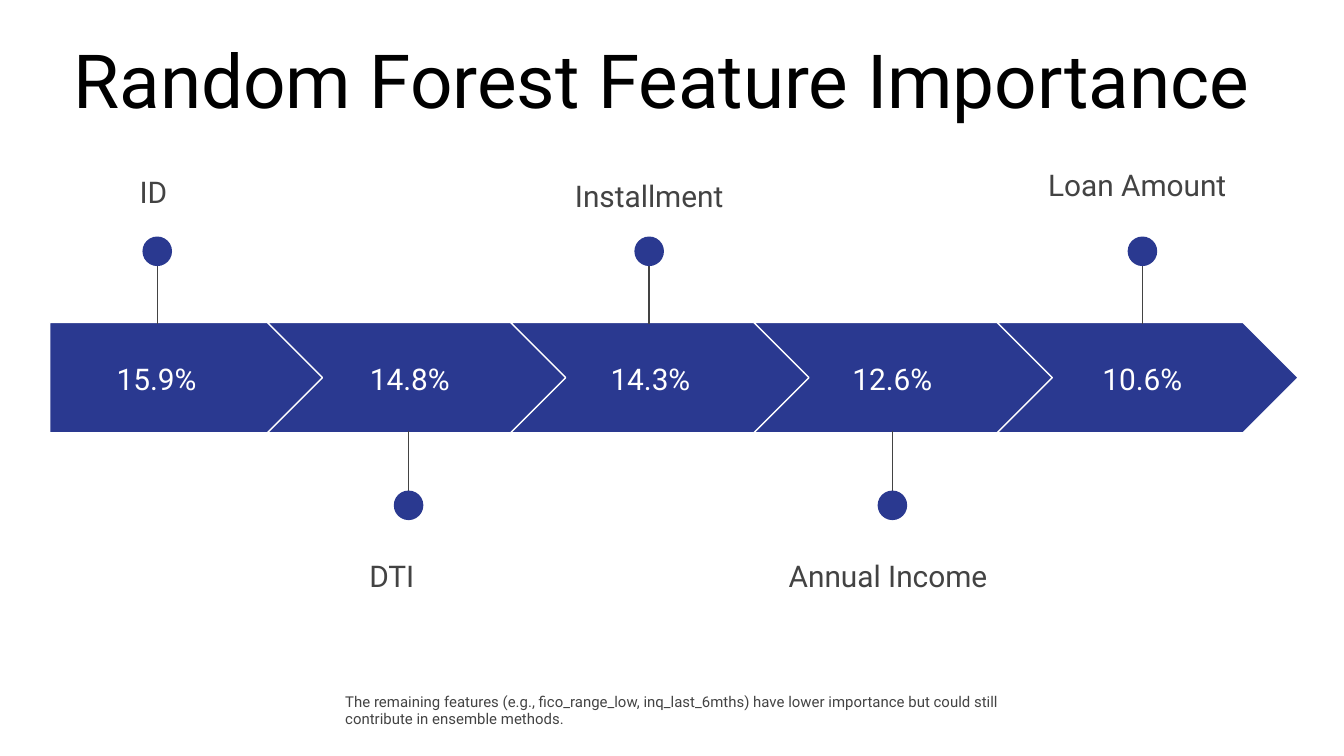
from lxml import etree
from pptx import Presentation
from pptx.dml.color import RGBColor
from pptx.enum.shapes import MSO_CONNECTOR, MSO_SHAPE
from pptx.enum.text import MSO_ANCHOR, PP_ALIGN
from pptx.oxml.ns import qn
from pptx.util import Inches, Pt

PENTAGON, CHEVRON, OVAL = MSO_SHAPE.PENTAGON, MSO_SHAPE.CHEVRON, MSO_SHAPE.OVAL
STRAIGHT = MSO_CONNECTOR.STRAIGHT
TOP, MIDDLE = MSO_ANCHOR.TOP, MSO_ANCHOR.MIDDLE
LEFT, CENTER = PP_ALIGN.LEFT, PP_ALIGN.CENTER

COLORS = {"band": "2A3990", "white": "FFFFFF", "grey": "434343", "black": "000000"}
FONT = "Roboto"

# Arrow band, in inches
BAND_LEFT, BAND_TOP, BAND_HEIGHT = 0.37, 2.4, 0.82
FIRST_WIDTH, CHEVRON_WIDTH = 2.05, 2.24
CHEVRON_LEFT, PITCH = 1.99, 1.81
VALUE_TOP, VALUE_HEIGHT = 2.56, 0.51
DOT = 0.22
# Stem tip, stem base and dot top of the pins on each side of the band
PIN_ABOVE = (1.8, 2.41, 1.76)
PIN_BELOW = (3.82, 3.21, 3.65)

# feature, importance, value (left, width), pin centre, label (left, top, width, height)
FEATURES = [
    ("ID", "15.9%", (0.37, 1.59), 1.17, (0.94, 1.15, 0.45, 0.46)),
    ("DTI", "14.8%", (2.33, 1.44), 3.04, (2.65, 4.01, 0.7, 0.4)),
    ("Installment", "14.3%", (4.12, 1.44), 4.83, (4.18, 1.18, 1.33, 0.4)),
    ("Annual Income", "12.6%", (5.92, 1.44), 6.64, (5.77, 4.01, 1.76, 0.51)),
    ("Loan Amount", "10.6%", (7.78, 1.44), 8.5, (7.7, 1.1, 1.59, 0.51)),
]


def rgb(name):
    return RGBColor.from_string(COLORS[name])


def add_text(slide, text, box, size, color, align=LEFT, anchor=TOP, spacing=None):
    frame = slide.shapes.add_textbox(*map(Inches, box)).text_frame
    frame.word_wrap = True
    frame.vertical_anchor = anchor
    frame.margin_left = frame.margin_right = Inches(0.1)
    frame.margin_top = frame.margin_bottom = Inches(0.1)
    paragraph = frame.paragraphs[0]
    paragraph.text = text
    paragraph.alignment = align
    if spacing:
        paragraph.line_spacing = spacing
    paragraph.font.name = FONT
    paragraph.font.size = Pt(size)
    paragraph.font.color.rgb = rgb(color)


def add_solid(slide, kind, box, outline=None):
    solid = slide.shapes.add_shape(kind, *map(Inches, box))
    solid.shadow.inherit = False
    solid.fill.solid()
    solid.fill.fore_color.rgb = rgb("band")
    if outline:
        solid.line.color.rgb = rgb(outline)
        solid.line.width = Pt(0.75)
    else:
        solid.line.fill.background()


def add_band_step(slide, index):
    if index == 0:
        kind, left, width = PENTAGON, BAND_LEFT, FIRST_WIDTH
    else:
        kind, width = CHEVRON, CHEVRON_WIDTH
        left = CHEVRON_LEFT + (index - 1) * PITCH
    add_solid(slide, kind, (left, BAND_TOP, width, BAND_HEIGHT), "white")


def add_pin(slide, center, levels):
    """Draw a stem with a dot at its free end."""
    tip, base, dot_top = levels
    stem = slide.shapes.add_connector(
        STRAIGHT, *map(Inches, (center, tip, center, base)))
    stem.line.color.rgb = rgb("grey")
    stem.line.width = Pt(0.75)
    etree.SubElement(stem._element.spPr, qn("a:effectLst"))
    add_solid(slide, OVAL, (center - DOT / 2, dot_top, DOT, DOT))


def main():
    deck = Presentation()
    deck.slide_width = Inches(10)
    deck.slide_height = deck.slide_width * 9 // 16
    slide = deck.slides.add_slide(deck.slide_layouts[6])

    for index, (feature, share, (left, width), pin, label) in enumerate(FEATURES):
        add_band_step(slide, index)
        add_text(slide, share, (left, VALUE_TOP, width, VALUE_HEIGHT), 16, "white",
                 CENTER, MIDDLE)
        add_pin(slide, pin, PIN_BELOW if index % 2 else PIN_ABOVE)
        add_text(slide, feature, label, 16, "grey", spacing=1.15)

    add_text(slide, "Random Forest Feature Importance", (0.45, 0.15, 9.03, 0.65),
             40, "black")
    add_text(slide, "The remaining features (e.g., fico_range_low, inq_last_6mths) "
             "have lower importance but could still contribute in ensemble methods.",
             (2.47, 5.05, 5.12, 0.46), 8, "grey")
    deck.save("out.pptx")


if __name__ == "__main__":
    main()
